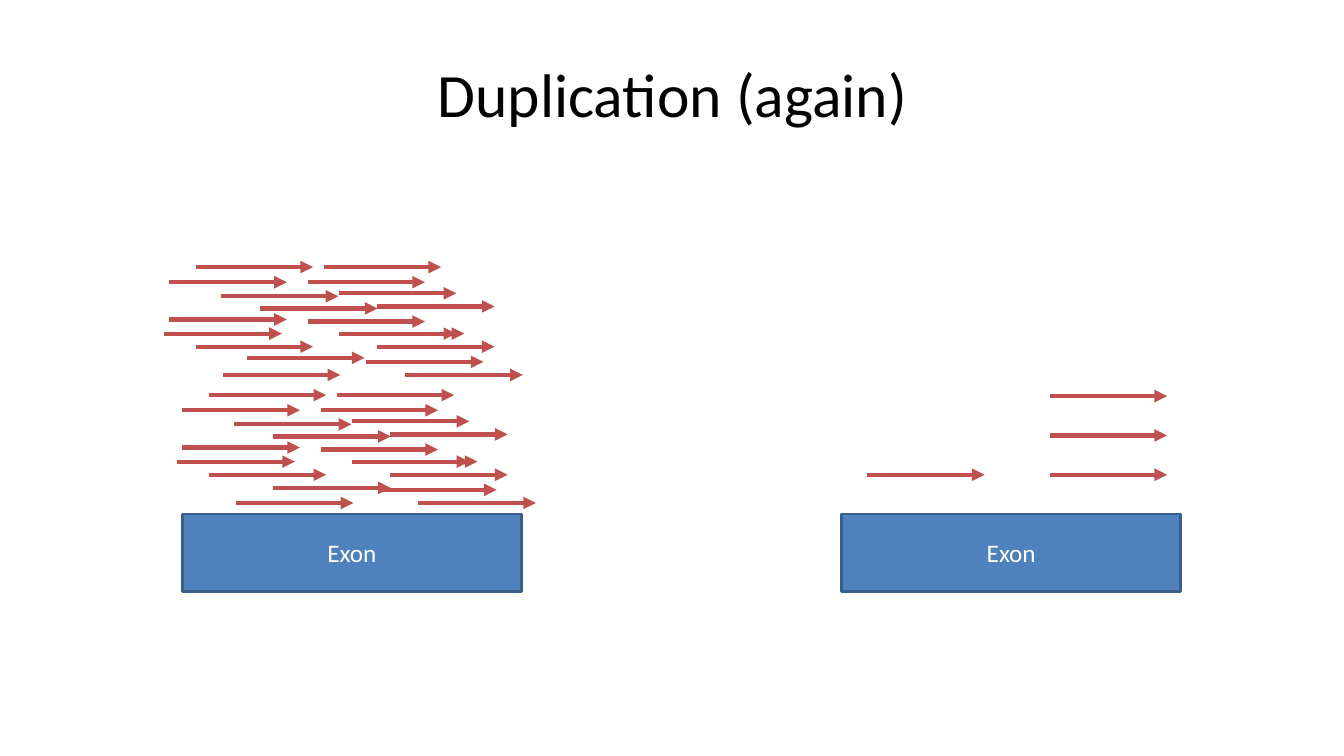
import pptx
import pptx.dml.color
import pptx.enum.shapes
import pptx.enum.text
import pptx.oxml.ns
import pptx.util
from lxml import etree

Inches = pptx.util.Inches
EXON_WIDTH, EXON_HEIGHT = 3.36, 0.77
READ_LENGTH = 1.165

# Each read: distance right of the exon's left edge, height above its top
PILE_READS = [
    (0.26, 0.39), (2.06, 0.39), (1.68, 0.52), (0.53, 0.11), (2.34, 0.11), (1.95, 0.24),
    (-0.05, 0.52), (1.76, 0.52), (1.37, 0.64), (0, 1.03), (0.9, 0.77), (0.51, 0.89),
    (0, 0.66), (2.06, 0.79), (1.68, 0.92), (0.26, 1.18), (1.37, 1.03), (1.53, 1.18),
]
LOWER_PILE = PILE_READS + [(0.9, 0.26)]
UPPER_PILE = [(x - 0.13, rise + 1.27) for x, rise in PILE_READS] + [(0.64, 1.55)]
SPARSE_READS = [(0.25, 0.39)] + [(2.06, 0.39 * level) for level in (1, 2, 3)]


def color(hex_code):
    return pptx.dml.color.RGBColor.from_string(hex_code)


def format_text(frame, size, hex_code):
    frame.vertical_anchor = pptx.enum.text.MSO_ANCHOR.MIDDLE
    paragraph = frame.paragraphs[0]
    paragraph.alignment = pptx.enum.text.PP_ALIGN.CENTER
    font = paragraph.runs[0].font
    font.name = "Calibri"
    font.size = pptx.util.Pt(size)
    font.color.rgb = color(hex_code)


def add_title(slide, left, top, width, height):
    title = slide.shapes.title
    title.left, title.top = Inches(left), Inches(top)
    title.width, title.height = Inches(width), Inches(height)
    title.text_frame.text = "Duplication (again)"
    format_text(title.text_frame, 44, "000000")


def add_read(slide, left, top):
    read = slide.shapes.add_connector(
        pptx.enum.shapes.MSO_CONNECTOR.STRAIGHT,
        Inches(left), Inches(top), Inches(left + READ_LENGTH), Inches(top))
    read.line.color.rgb = color("C0504D")
    read.line.width = pptx.util.Pt(3)
    # Arrowhead, and no shadow
    qn = pptx.oxml.ns.qn
    etree.SubElement(read.line._get_or_add_ln(), qn("a:tailEnd"), type="triangle")
    etree.SubElement(read._element.spPr, qn("a:effectLst"))


def add_covered_exon(slide, left, top, reads):
    # Exon box
    exon = slide.shapes.add_shape(
        pptx.enum.shapes.MSO_SHAPE.RECTANGLE,
        Inches(left), Inches(top), Inches(EXON_WIDTH), Inches(EXON_HEIGHT))
    exon.shadow.inherit = False
    exon.fill.solid()
    exon.fill.fore_color.rgb = color("4F81BD")
    exon.line.color.rgb = color("3A5F8C")
    exon.line.width = pptx.util.Pt(2)
    exon.text_frame.text = "Exon"
    format_text(exon.text_frame, 18, "FFFFFF")

    # Reads above it
    for x, rise in reads:
        add_read(slide, left + x, top - rise)


def main():
    deck = pptx.Presentation()
    deck.slide_width, deck.slide_height = Inches(13.33), Inches(7.5)
    slide = deck.slides.add_slide(deck.slide_layouts[5])
    add_title(slide, 0.67, 0.3, 12, 1.25)
    add_covered_exon(slide, 8.35, 5.1, SPARSE_READS)
    add_covered_exon(slide, 1.81, 5.1, LOWER_PILE + UPPER_PILE)
    deck.save("out.pptx")


if __name__ == "__main__":
    main()
